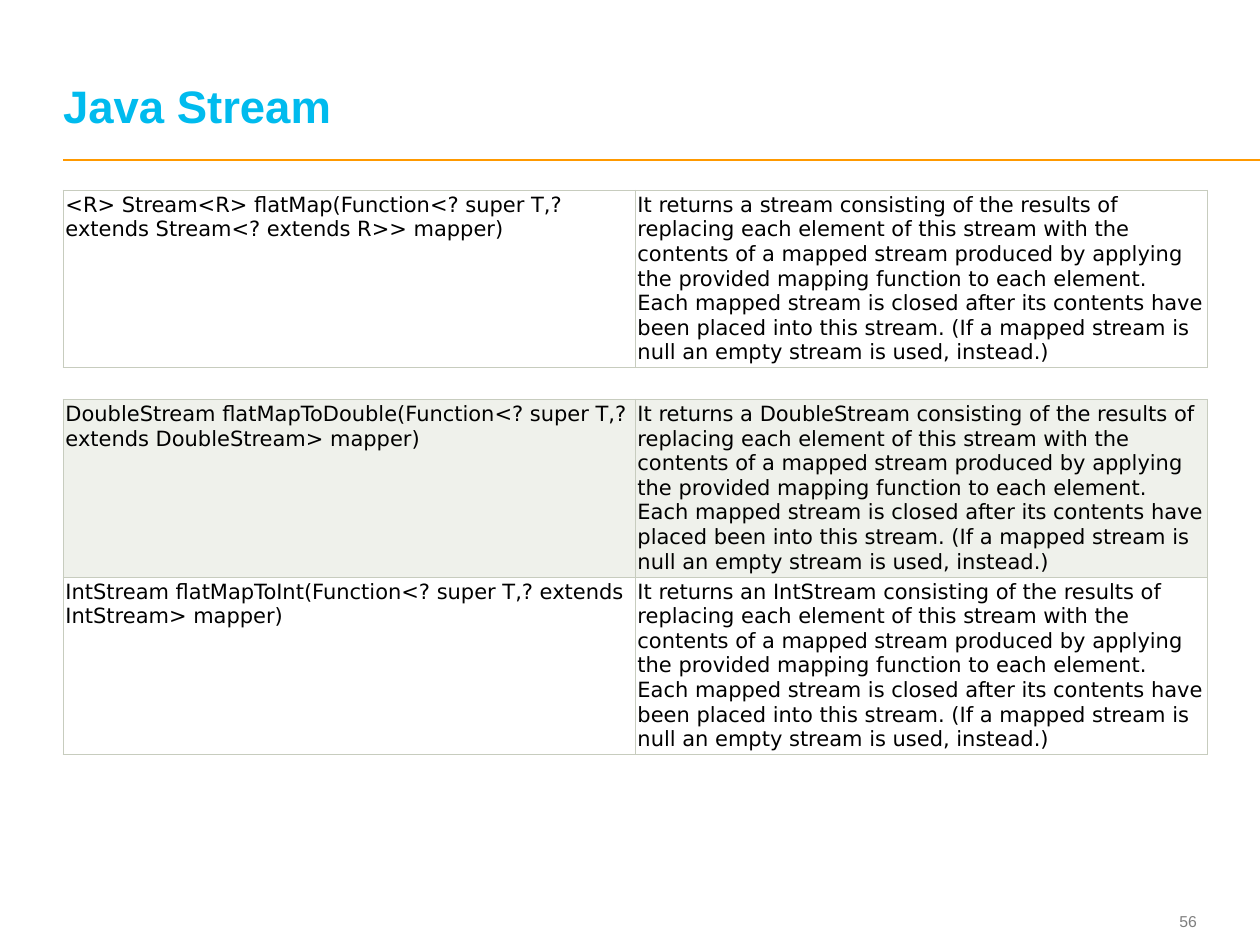
from lxml import etree
from pptx import Presentation
from pptx.dml.color import RGBColor
from pptx.enum.shapes import MSO_CONNECTOR
from pptx.enum.text import MSO_ANCHOR, MSO_AUTO_SIZE, PP_ALIGN
from pptx.oxml.ns import qn
from pptx.util import Inches, Pt

STRAIGHT = MSO_CONNECTOR.STRAIGHT
BOTTOM, MIDDLE = MSO_ANCHOR.BOTTOM, MSO_ANCHOR.MIDDLE
LEFT, RIGHT = PP_ALIGN.LEFT, PP_ALIGN.RIGHT
NO_AUTOFIT = MSO_AUTO_SIZE.NONE

CYAN = RGBColor(0x00, 0xBB, 0xEE)
ORANGE = RGBColor(0xFF, 0x99, 0x00)
GRAY = RGBColor(0x7F, 0x7F, 0x7F)
BLACK = RGBColor(0x00, 0x00, 0x00)
WHITE = RGBColor(0xFF, 0xFF, 0xFF)
PALE_GREEN = RGBColor(0xEF, 0xF1, 0xEB)
BORDER = RGBColor(0xC7, 0xCC, 0xBE)

MARGIN = Inches(0.5)
COLUMN_WIDTH = Inches(4.54)
ROW_HEIGHT = Inches(1.41)
CELL_INSET = Inches(0.02)

DESCRIPTION = (
    "It returns {result} consisting of the results of replacing each element of this "
    "stream with the contents of a mapped stream produced by applying the provided "
    "mapping function to each element. Each mapped stream is closed after its contents "
    "have {placed} into this stream. (If a mapped stream is null an empty stream is "
    "used, instead.)"
)

# Each table: top in inches, then rows of signature, result, wording, fill
TABLES = [
    (1.51, [
        ("<R> Stream<R> flatMap(Function<? super T,? extends Stream<? extends R>> mapper)",
         "a stream", "been placed", WHITE),
    ]),
    (3.17, [
        ("DoubleStream flatMapToDouble(Function<? super T,? extends DoubleStream> mapper)",
         "a DoubleStream", "placed been", PALE_GREEN),
        ("IntStream flatMapToInt(Function<? super T,? extends IntStream> mapper)",
         "an IntStream", "been placed", WHITE),
    ]),
]


def write_text(frame, text, font_name, size, color, bold=False, align=LEFT):
    para = frame.paragraphs[0]
    para.alignment = align
    span = para.add_run()
    span.text = text
    span.font.name = font_name
    span.font.size = Pt(size)
    span.font.bold = bold
    span.font.color.rgb = color
    return para


def add_borders(cell):
    properties = cell._tc.get_or_add_tcPr()
    for position, side in enumerate(("a:lnL", "a:lnR", "a:lnT", "a:lnB")):
        border = etree.Element(qn(side), w=str(Pt(0.6)))
        fill = etree.SubElement(border, qn("a:solidFill"))
        etree.SubElement(fill, qn("a:srgbClr"), val=str(BORDER))
        properties.insert(position, border)


deck = Presentation()
deck.slide_width, deck.slide_height = Inches(10), Inches(7.5)
slide = deck.slides.add_slide(deck.slide_layouts[5])

# Rule below the title
rule = slide.shapes.add_connector(STRAIGHT, MARGIN, Inches(1.27), Inches(10), Inches(1.27))
rule.line.color.rgb = ORANGE
rule.line.width = Pt(1)
etree.SubElement(rule._element.spPr, qn("a:effectLst"))

# Title and page number
title = slide.shapes.title
title.left, title.top = MARGIN, Inches(0.19)
title.width, title.height = Inches(8.97), Inches(0.86)
page_number = slide.shapes.add_textbox(Inches(8.91), Inches(7.18), Inches(0.59), Inches(0.27))
for box, anchor in ((title, BOTTOM), (page_number, MIDDLE)):
    frame = box.text_frame
    frame.word_wrap = True
    frame.auto_size = NO_AUTOFIT
    frame.vertical_anchor = anchor
    frame.margin_left = frame.margin_right = 0
    frame.margin_top = frame.margin_bottom = 0
heading = write_text(title.text_frame, "Java Stream", "Arial", 26, CYAN, bold=True)
heading.line_spacing = Pt(26)
write_text(page_number.text_frame, "56", "Arial", 9, GRAY, align=RIGHT)

# Method tables
for top, methods in TABLES:
    table = slide.shapes.add_table(
        len(methods), 2, MARGIN, Inches(top), COLUMN_WIDTH * 2, ROW_HEIGHT * len(methods)
    ).table
    table.first_row = table.horz_banding = False
    for column in table.columns:
        column.width = COLUMN_WIDTH
    for row, (signature, result, placed, fill_color) in zip(table.rows, methods):
        row.height = ROW_HEIGHT
        description = DESCRIPTION.format(result=result, placed=placed)
        for cell, text in zip(row.cells, (signature, description)):
            cell.margin_left = cell.margin_right = CELL_INSET
            cell.margin_top = cell.margin_bottom = CELL_INSET
            cell.fill.solid()
            cell.fill.fore_color.rgb = fill_color
            add_borders(cell)
            write_text(cell.text_frame, text, "DejaVu Sans", 12, BLACK)

deck.save("out.pptx")
